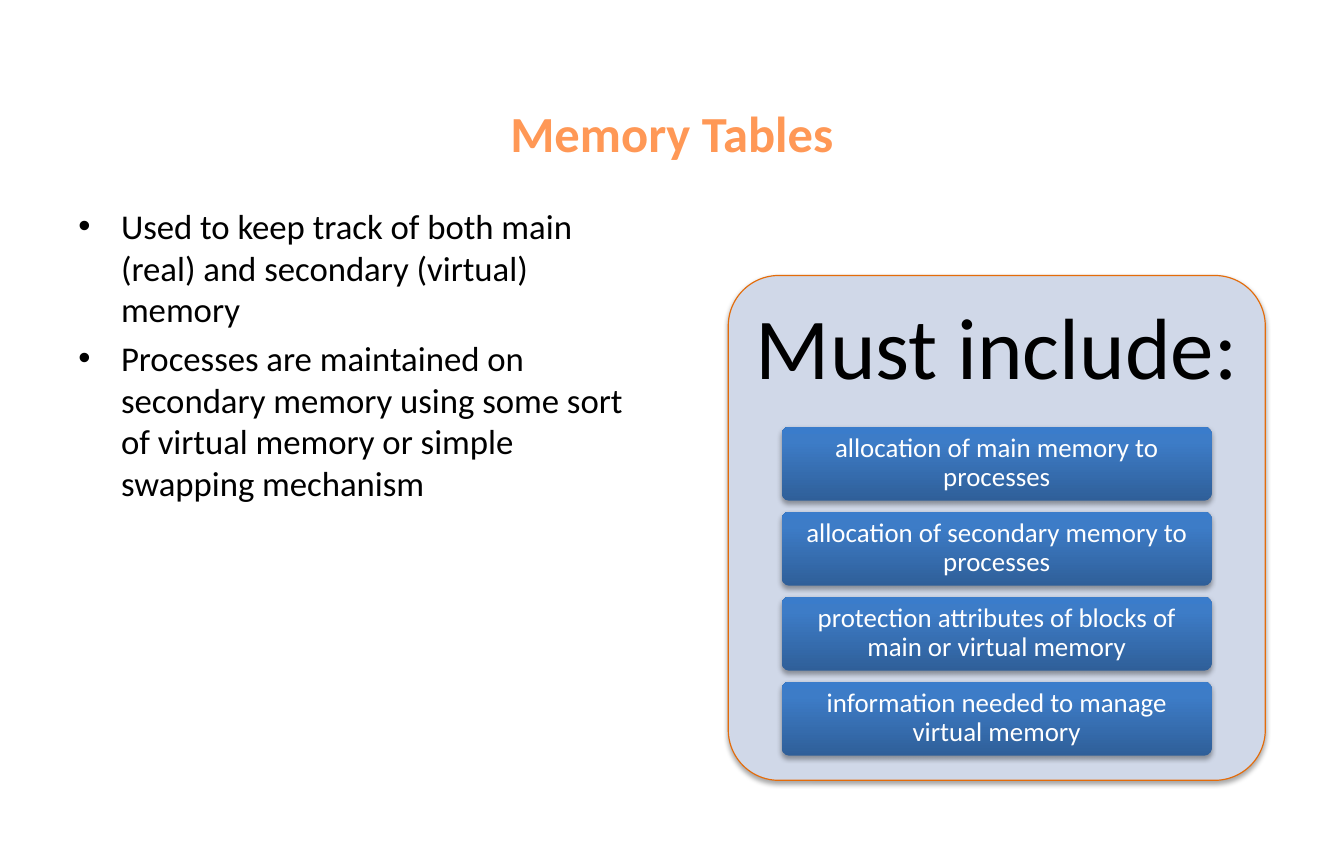
from copy import deepcopy

from lxml import etree
from pptx import Presentation
from pptx.dml.color import RGBColor
from pptx.enum.shapes import MSO_SHAPE
from pptx.enum.text import MSO_ANCHOR, PP_ALIGN
from pptx.oxml.ns import qn
from pptx.util import Pt

ROUNDED = MSO_SHAPE.ROUNDED_RECTANGLE
TOP, MIDDLE = MSO_ANCHOR.TOP, MSO_ANCHOR.MIDDLE
LEFT, CENTER = PP_ALIGN.LEFT, PP_ALIGN.CENTER

ORANGE = RGBColor(0xFF, 0x98, 0x56)
RUST = RGBColor(0xE4, 0x6C, 0x0A)
PALE = RGBColor(0xD0, 0xD8, 0xE8)
BLACK = RGBColor(0, 0, 0)
WHITE = RGBColor(0xFF, 0xFF, 0xFF)
BLUES = [
    (0, RGBColor(0x2F, 0x5F, 0x99)),
    (0.8, RGBColor(0x3D, 0x7C, 0xC7)),
    (1, RGBColor(0x3A, 0x7C, 0xCB)),
]

TITLE = "Memory Tables"
POINTS = [
    "Used to keep track of both main (real) and secondary (virtual) memory",
    "Processes are maintained on secondary memory using some sort of virtual memory or simple swapping mechanism",
]
PANEL_TITLE = "Must include:"
ITEMS = [
    "allocation of main memory to processes",
    "allocation of secondary memory to processes",
    "protection attributes of blocks of main or virtual memory",
    "information needed to manage virtual memory",
]

TITLE_FONT = {"size": Pt(32), "bold": True, "color": ORANGE}
POINT_FONT = {"size": Pt(22), "color": BLACK}
PANEL_FONT = {"size": Pt(55), "color": BLACK}
ITEM_FONT = {"size": Pt(17), "color": WHITE}

PANEL_X, PANEL_Y, PANEL_W, PANEL_H = 460.8, 174.4, 339.8, 319.6
HEADER_H = 95.8
ITEM_W, ITEM_H, ITEM_GAP = 272, 46.8, 7
INDENT = 27


def box(x, y, w, h):
    return Pt(x), Pt(y), Pt(w), Pt(h)


def add_bullet(p):
    pPr = p._p.get_or_add_pPr()
    pPr.set("marL", str(Pt(INDENT)))
    pPr.set("indent", str(-Pt(INDENT)))
    etree.SubElement(pPr, qn("a:buFont"), typeface="Arial")
    etree.SubElement(pPr, qn("a:buChar"), char="•")


def write(shape, texts, fmt, align=CENTER, anchor=MIDDLE, inset=(7.2, 3.6),
          spacing=1.0, before=0, bullets=False):
    tf = shape.text_frame
    across, down = map(Pt, inset)
    frame = {"word_wrap": True, "vertical_anchor": anchor,
             "margin_left": across, "margin_right": across,
             "margin_top": down, "margin_bottom": down}
    for name, value in frame.items():
        setattr(tf, name, value)
    for i, text in enumerate(texts):
        p = tf.add_paragraph() if i else tf.paragraphs[0]
        p.alignment, p.line_spacing = align, spacing
        if i:
            p.space_before = Pt(before)
        if bullets:
            add_bullet(p)
        r = p.add_run()
        r.text = text
        r.font.name = "Calibri"
        for name, value in fmt.items():
            if name == "color":
                r.font.color.rgb = value
            else:
                setattr(r.font, name, value)


def add_rounded(s, bounds):
    sp = s.shapes.add_shape(ROUNDED, *bounds)
    sp.adjustments[0] = 0.1
    sp.shadow.inherit = False
    effects = sp._element.spPr.find(qn("a:effectLst"))
    shadow = etree.SubElement(effects, qn("a:outerShdw"), blurRad=str(Pt(3.1)),
                              dist=str(Pt(1.8)), dir="5400000", rotWithShape="0")
    color = etree.SubElement(shadow, qn("a:srgbClr"), val="000000")
    etree.SubElement(color, qn("a:alpha"), val="35000")
    return sp


def fill_gradient(sp, stops):
    sp.fill.gradient()
    sp.fill.gradient_angle = 90
    gs_list = next(sp._element.spPr.iter(qn("a:gsLst")))
    gs_list.append(deepcopy(gs_list[-1]))
    for stop, (position, color) in zip(sp.fill.gradient_stops, stops):
        stop.position = position
        stop.color.rgb = color


def main():
    prs = Presentation()
    prs.slide_width, prs.slide_height = Pt(850.4), Pt(540)
    s = prs.slides.add_slide(prs.slide_layouts[6])

    title = s.shapes.add_textbox(*box(61.2, 36, 728, 95.8))
    write(title, [TITLE], TITLE_FONT)

    body = s.shapes.add_textbox(*box(42.5, 126, 375.8, 356.4))
    write(body, POINTS, POINT_FONT, align=LEFT, anchor=TOP, before=4.4, bullets=True)

    panel = add_rounded(s, box(PANEL_X, PANEL_Y, PANEL_W, PANEL_H))
    panel.fill.solid()
    panel.fill.fore_color.rgb = PALE
    panel.line.color.rgb = RUST
    panel.line.width = Pt(0.75)

    header = s.shapes.add_textbox(*box(PANEL_X, PANEL_Y, PANEL_W, HEADER_H))
    write(header, [PANEL_TITLE], PANEL_FONT, inset=(16.5, 16.5), spacing=0.9)

    item_x = PANEL_X + (PANEL_W - ITEM_W) / 2
    for i, item in enumerate(ITEMS):
        y = PANEL_Y + HEADER_H + i * (ITEM_H + ITEM_GAP)
        sp = add_rounded(s, box(item_x, y, ITEM_W, ITEM_H))
        fill_gradient(sp, BLUES)
        sp.line.fill.background()
        write(sp, [item], ITEM_FONT, inset=(5, 4), spacing=0.9)

    prs.save("out.pptx")


if __name__ == "__main__":
    main()
